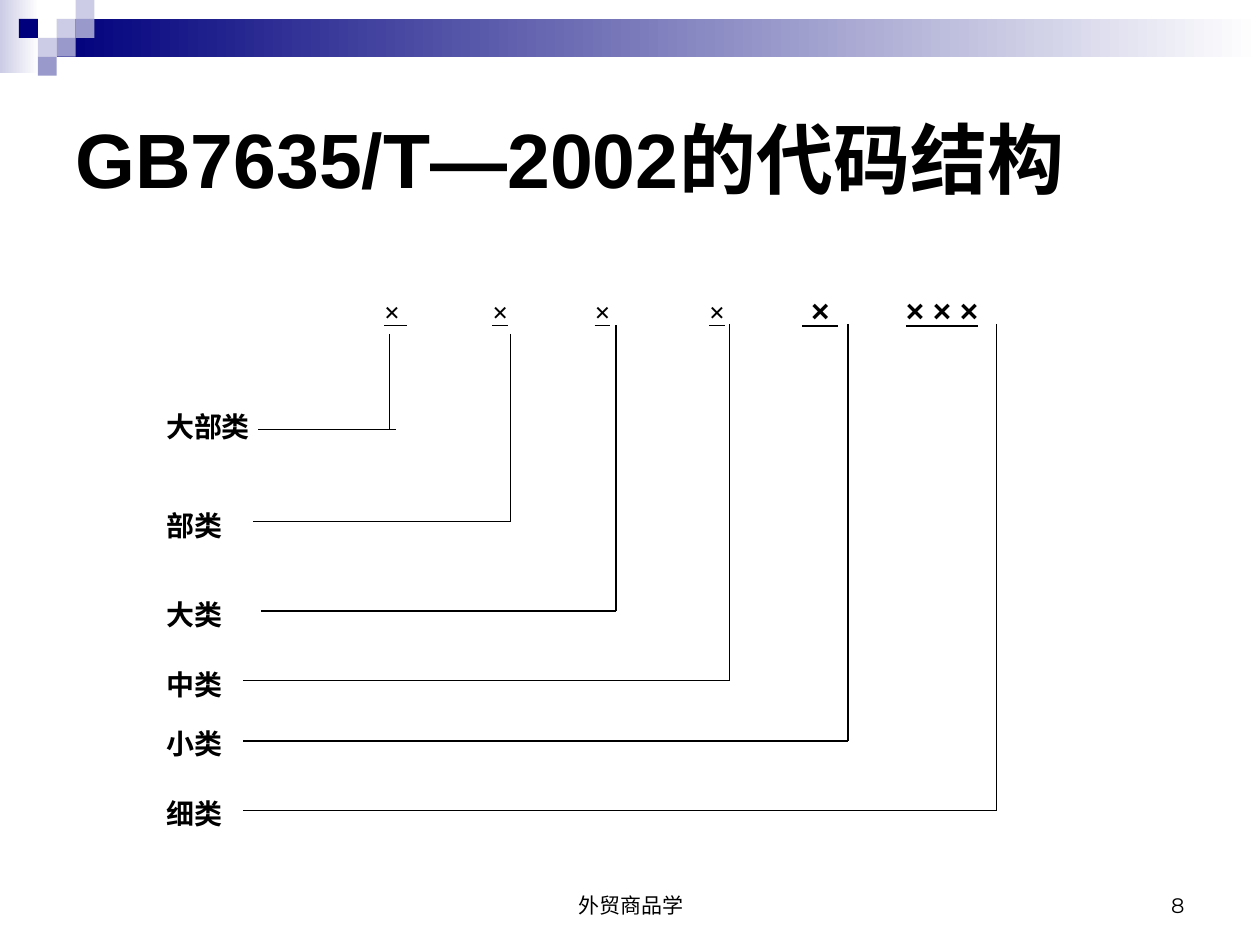
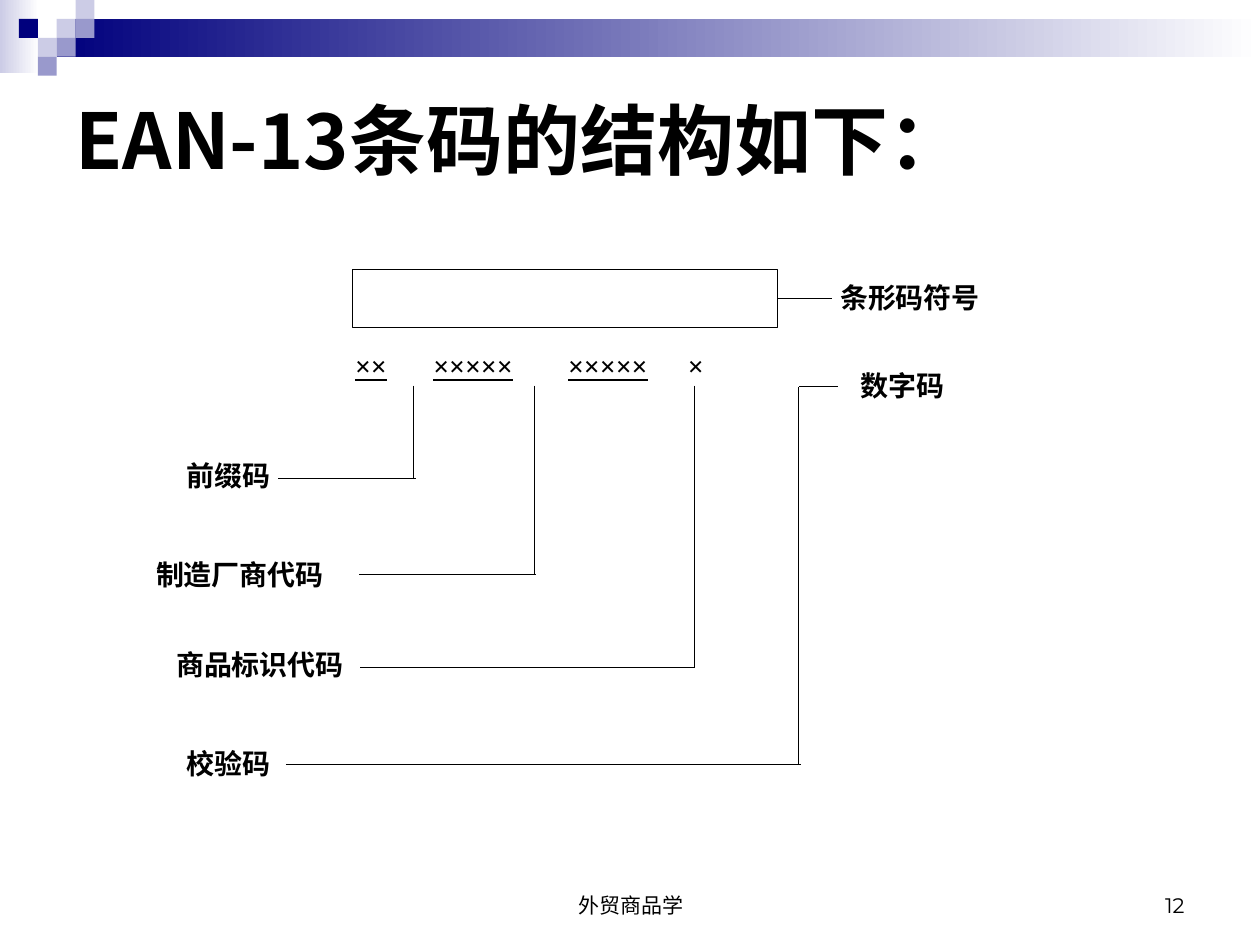
"""Two slides on the structure of commodity codes, laid out on a 100 by 75 grid."""
import pptx
import pptx.dml.color
import pptx.enum.shapes
import pptx.enum.text
import pptx.oxml
import pptx.oxml.ns
import pptx.util

COLUMNS, ROWS = 100, 75
CELL = pptx.util.Inches(10) / COLUMNS
BLACK, WHITE, NAVY, LILAC, MIST = "000000", "FFFFFF", "00007D", "9999CC", "CCCCE6"
SERIF, SANS, CJK, NUMERAL = "Times New Roman", "Arial", "Noto Sans CJK SC", "Montserrat"
ALIGN = pptx.enum.text.PP_ALIGN
ANCHOR = pptx.enum.text.MSO_ANCHOR
FOOTER = "外贸商品学"
LABEL_SIZE = 16

SQUARE = 1.5
GRADIENTS = [((0, 0, 3.1, 5.8), MIST), ((4.5, 1.5, 95.5, 3), NAVY)]
MOSAIC = [(3, 1, MIST), (4, 0, MIST), (4, 1, LILAC), (2, 2, MIST),
          (1, 1, NAVY), (3, 2, LILAC), (2, 3, LILAC)]

# Digits: tab stop, text, size, font, underlined.
# Leaders: label, label left, label top, line start, corner, line top, line row, overshoot.
SLIDES = [
    {
        "title": "GB7635/T—2002的代码结构", "title_font": SANS, "title_height": 15, "number": "8",
        "digits_at": (29.5, 22.6, 59.9, 6.8),
        "digits": [(0, "× ", 16, SERIF, True), (8.6, "×", 16, SERIF, True),
                   (16.7, "×", 16, SERIF, True), (25.8, "×", 16, SERIF, True),
                   (33.2, " × ", 18, SANS, True), (41.4, "× × ×", 18, SANS, True)],
        "leaders": [("大部类", 12.2, 32, 20.5, 30.9, 26.5, 34.1, 0.5),
                    ("部类", 12.2, 39.9, 20.1, 40.5, 26.5, 41.4, 0),
                    ("大类", 12.2, 46.9, 20.7, 48.9, 25.8, 48.5, 0),
                    ("中类", 12.2, 52.5, 19.3, 57.9, 25.7, 54, 0),
                    ("小类", 12.2, 57.2, 19.3, 67.3, 25.7, 58.8, 0),
                    ("细类", 12.2, 62.7, 19.3, 79.1, 25.7, 64.3, 0)],
    },
    {
        "title": "EAN-13条码的结构如下：", "title_font": CJK, "title_height": 12, "number": "12",
        "digits_at": (27.2, 27.2, 41.2, 6.8),
        "digits": [(0, "××", 16, SERIF, True), (6.2, "×××××", 16, SERIF, True),
                   (16.9, "×××××", 16, SERIF, True), (26.4, "×", 16, SERIF, False)],
        "leaders": [("前缀码", 13.8, 35.9, 22.1, 32.8, 30.6, 38, 0.2),
                    ("制造厂商代码", 11.4, 43.8, 28.5, 42.4, 30.6, 45.6, 0.1),
                    ("商品标识代码", 13, 50.9, 28.6, 55.1, 30.6, 53, 0),
                    ("校验码", 13.8, 58.8, 22.7, 63.4, 30.7, 60.7, 0.2)],
        "barcode": {"at": (28, 21.4, 33.7, 4.6), "label": ("条形码符号", 65.7, 21.8), "line_end": 66},
        "digit_code": {"label": ("数字码", 67.3, 28.8), "line": (63.4, 30.7, 66.5, 30.7)},
    },
]


def color(hex_code):
    return pptx.dml.color.RGBColor.from_string(hex_code)


def grid(*cells):
    return [pptx.util.Emu(round(cell * CELL)) for cell in cells]


def add_run(paragraph, text, size=LABEL_SIZE, font=SERIF, bold=True, underline=False):
    run = paragraph.add_run()
    run.text = text
    run.font.size, run.font.name = pptx.util.Pt(size), font
    run.font.bold, run.font.underline = bold, underline
    run.font.color.rgb = color(BLACK)
    east_asian = pptx.oxml.parse_xml(
        f'<a:ea {pptx.oxml.ns.nsdecls("a")} typeface="{CJK}"/>')
    run.font._element.find(pptx.oxml.ns.qn("a:latin")).addnext(east_asian)


def add_text(slide, at, text="", align=ALIGN.LEFT, anchor=ANCHOR.TOP, wrap=True, **style):
    frame = slide.shapes.add_textbox(*grid(*at)).text_frame
    frame.word_wrap, frame.vertical_anchor = wrap, anchor
    paragraph = frame.paragraphs[0]
    paragraph.alignment = align
    if text:
        add_run(paragraph, text, **style)
    return paragraph


def add_label(slide, text, left, top):
    width = len(text) * LABEL_SIZE / 7.2 + 2
    add_text(slide, (left, top, width, 3.7), text, wrap=False)


def add_box(slide, at, fill, fade=False, outline=None):
    box = slide.shapes.add_shape(pptx.enum.shapes.MSO_SHAPE.RECTANGLE, *grid(*at))
    box.shadow.inherit = False
    if fade:
        box.fill.gradient()
        box.fill.gradient_angle = 0
        for stop, shade in zip(box.fill.gradient_stops, (fill, WHITE)):
            stop.color.rgb = color(shade)
    else:
        box.fill.solid()
        box.fill.fore_color.rgb = color(fill)
    if outline:
        box.line.color.rgb, box.line.width = color(outline), pptx.util.Pt(0.75)
    else:
        box.line.fill.background()
    return box


def add_line(slide, *ends):
    line = slide.shapes.add_connector(pptx.enum.shapes.MSO_CONNECTOR.STRAIGHT, *grid(*ends))
    line.line.color.rgb, line.line.width = color(BLACK), pptx.util.Pt(0.75)
    line._element.spPr.append(
        pptx.oxml.parse_xml(f'<a:effectLst {pptx.oxml.ns.nsdecls("a")}/>'))
    return line


def add_digits(slide, at, digits):
    paragraph = add_text(slide, at)
    stops = "".join(f'<a:tab pos="{grid(stop)[0]}" algn="l"/>' for stop, *_ in digits[1:])
    paragraph._p.get_or_add_pPr().append(pptx.oxml.parse_xml(
        f'<a:tabLst {pptx.oxml.ns.nsdecls("a")}>{stops}</a:tabLst>'))
    for stop, text, size, font, underline in digits:
        if stop:
            add_run(paragraph, "\t")
        add_run(paragraph, text, size, font, underline=underline)


def add_leader(slide, text, left, top, start, corner, line_top, row, overshoot):
    add_label(slide, text, left, top)
    add_line(slide, corner, line_top, corner, row)
    add_line(slide, start, row, corner + overshoot, row)


def add_barcode(slide, at, label, line_end):
    left, top, width, height = at
    middle = top + height / 2
    symbol = add_box(slide, at, WHITE, outline=BLACK)
    add_line(slide, left + width, middle, line_end, middle).begin_connect(symbol, 3)
    add_label(slide, *label)


def add_frame(slide, content):
    for at, shade in GRADIENTS:
        add_box(slide, at, shade, fade=True)
    for column, row, shade in MOSAIC:
        add_box(slide, (column * SQUARE, row * SQUARE, SQUARE, SQUARE), shade)
    add_text(slide, (34.2, 68.3, 31.7, 5), FOOTER, ALIGN.CENTER, ANCHOR.BOTTOM,
             size=12, font=SANS, bold=False)
    add_text(slide, (71.7, 68.3, 23.3, 5), content["number"], ALIGN.RIGHT, ANCHOR.BOTTOM,
             size=12, font=NUMERAL, bold=False)
    add_text(slide, (5, 5, 90, content["title_height"]), content["title"],
             anchor=ANCHOR.MIDDLE, size=44, font=content["title_font"])


def main():
    deck = pptx.Presentation()
    deck.slide_width, deck.slide_height = grid(COLUMNS, ROWS)
    for content in SLIDES:
        slide = deck.slides.add_slide(deck.slide_layouts[6])
        add_frame(slide, content)
        add_digits(slide, content["digits_at"], content["digits"])
        for leader in content["leaders"]:
            add_leader(slide, *leader)
        if "barcode" in content:
            add_barcode(slide, **content["barcode"])
        if "digit_code" in content:
            add_line(slide, *content["digit_code"]["line"])
            add_label(slide, *content["digit_code"]["label"])
    deck.save("out.pptx")


if __name__ == "__main__":
    main()
